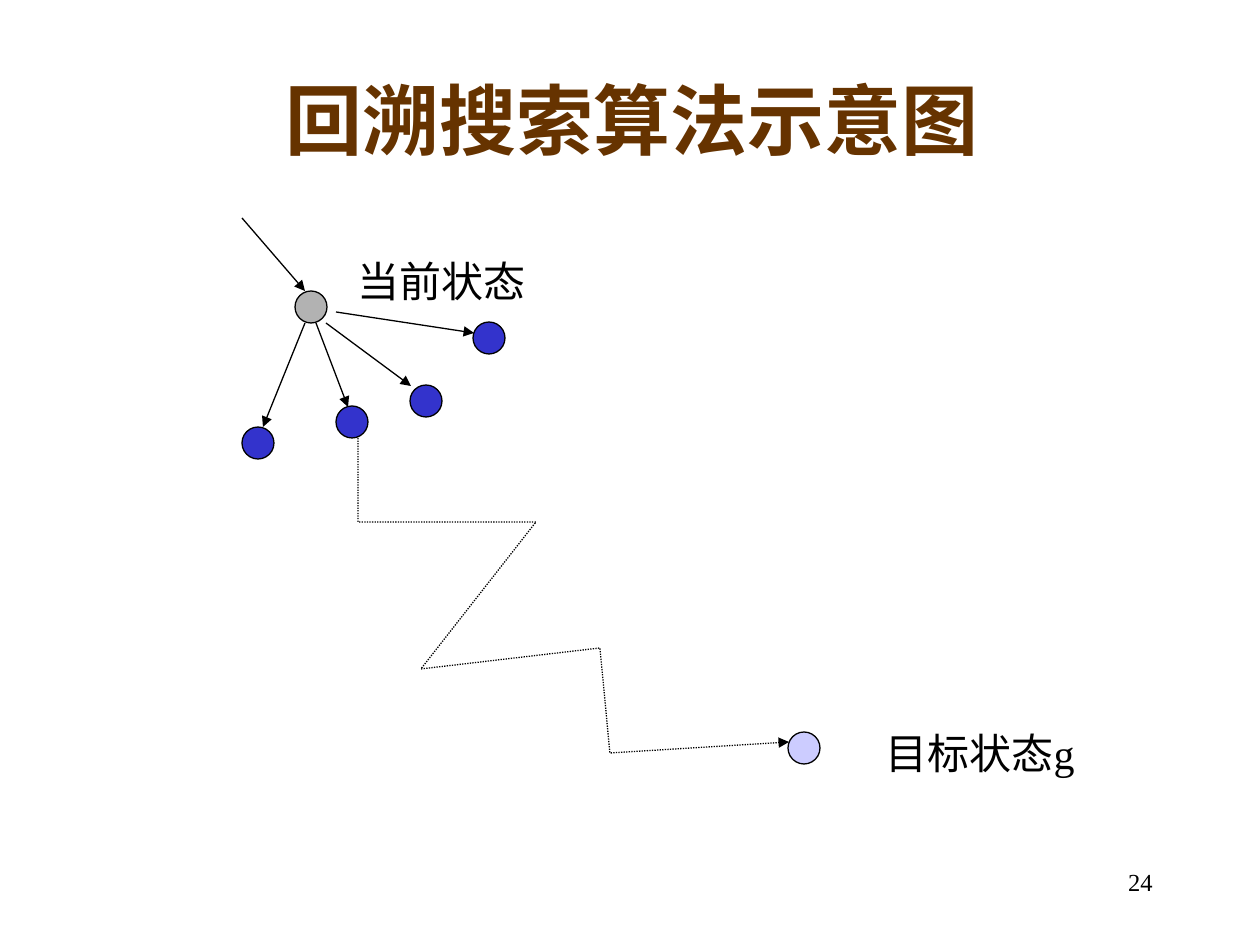
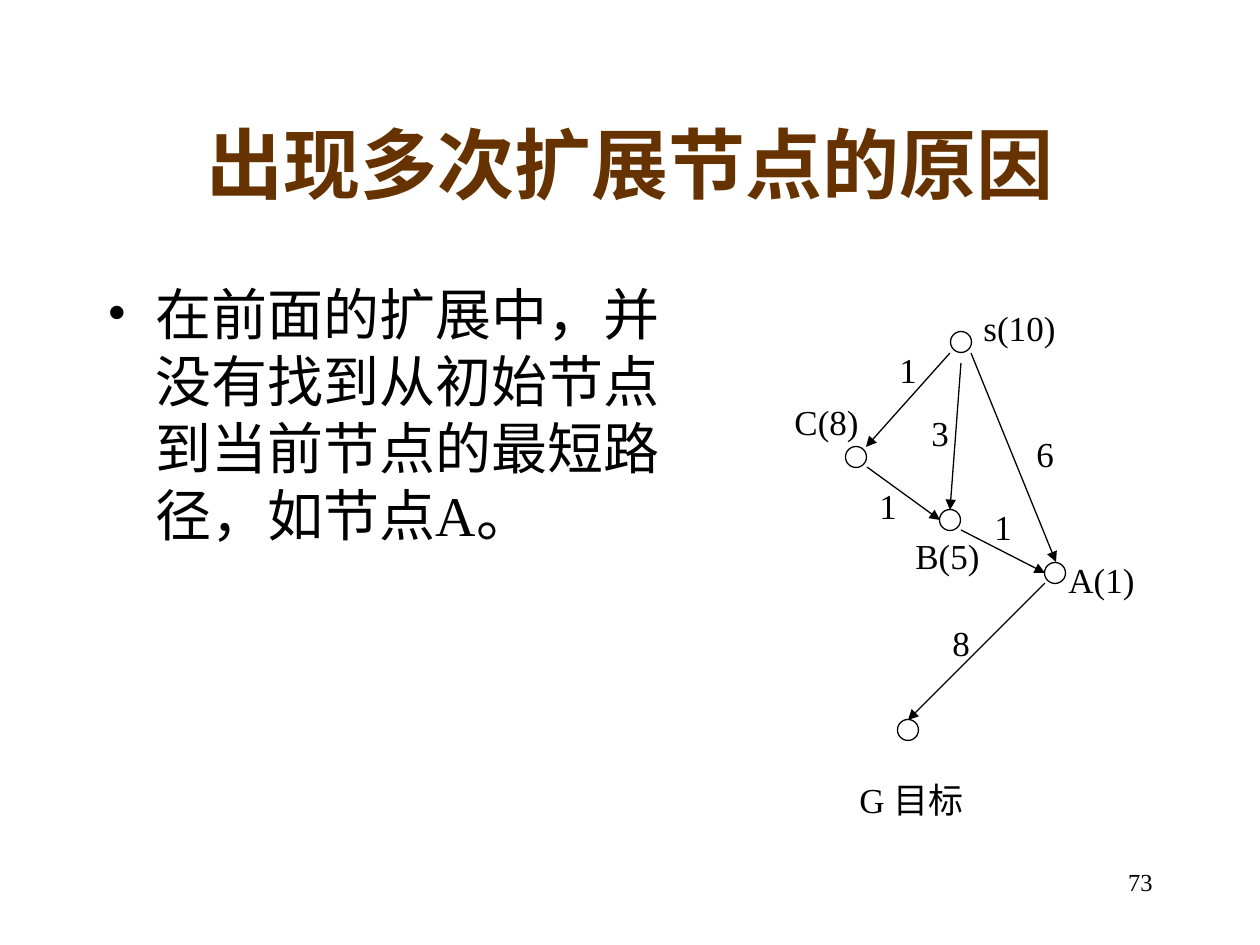
import pptx
import pptx.util
import pptx.dml.color
import pptx.enum.dml
import pptx.enum.shapes
import pptx.enum.text
import pptx.oxml.ns
import lxml.etree

COLORS = {
    "text": "000000",
    "title": "663300",
    "line": "000000",
    "current": "B2B2B2",
    "successor": "3333CC",
    "goal": "CCCCFF",
    "plain": "FFFFFF",
}
FONT_NAME = "Times New Roman"
EMU_PER_PX = 914400 / 126
LINE_WIDTH = pptx.util.Pt(0.75)
ALIGN = pptx.enum.text.PP_ALIGN
ANCHOR = pptx.enum.text.MSO_ANCHOR
AUTO_SIZE = pptx.enum.text.MSO_AUTO_SIZE


def px(length):
    return pptx.util.Emu(round(length * EMU_PER_PX))


def color(name):
    return pptx.dml.color.RGBColor.from_string(COLORS[name])


def add_xml(parent, tag, **values):
    return lxml.etree.SubElement(parent, pptx.oxml.ns.qn(tag), values)


def set_values(target, values):
    for name, value in values.items():
        setattr(target, name, value)


def write_text(box, text, size, align, font_color="text", bold=False, **frame_values):
    """Fill a box with one formatted paragraph."""
    set_values(box.text_frame, frame_values)
    para = box.text_frame.paragraphs[0]
    para.alignment = align
    span = para.add_run()
    span.text = text
    set_values(span.font, {"name": FONT_NAME, "size": pptx.util.Pt(size), "bold": bold})
    span.font.color.rgb = color(font_color)
    return para


def add_box(page, left, top, width, height):
    return page.shapes.add_textbox(px(left), px(top), px(width), px(height))


def add_page(deck, title, title_place, number):
    """Start a slide with its title and page number."""
    page = deck.slides.add_slide(deck.slide_layouts[5])
    heading = page.shapes.title
    places = zip(("left", "top", "width", "height"), map(px, title_place))
    set_values(heading, dict(places))
    write_text(heading, title, 44, ALIGN.CENTER, "title", True,
               vertical_anchor=ANCHOR.MIDDLE, word_wrap=True, auto_size=AUTO_SIZE.NONE)
    write_text(add_box(page, 903, 861, 262, 63), str(number), 14, ALIGN.RIGHT,
               word_wrap=True)
    return page


def add_bullet_text(page, text, left, top, width, height, indent):
    para = write_text(add_box(page, left, top, width, height), text, 32, ALIGN.LEFT,
                      word_wrap=True)
    properties = para._p.get_or_add_pPr()
    margins = {"marL": px(indent), "indent": px(-indent)}
    for name, value in margins.items():
        properties.set(name, str(value))
    add_xml(properties, "a:buFont", typeface=FONT_NAME)
    add_xml(properties, "a:buChar", char="•")


def add_label(page, text, left, top, width, height, size, align=ALIGN.CENTER):
    write_text(add_box(page, left, top, width, height), text, size, align,
               vertical_anchor=ANCHOR.MIDDLE, word_wrap=False,
               auto_size=AUTO_SIZE.SHAPE_TO_FIT_TEXT)


def style_line(shape):
    shape.line.color.rgb = color("line")
    shape.line.width = LINE_WIDTH


def add_arrowhead(shape):
    add_xml(shape.line._get_or_add_ln(), "a:tailEnd", type="triangle")


def add_node(page, center_x, center_y, diameter, fill):
    radius = diameter / 2
    node = page.shapes.add_shape(
        pptx.enum.shapes.MSO_SHAPE.OVAL,
        px(center_x - radius), px(center_y - radius), px(diameter), px(diameter))
    node.shadow.inherit = False
    node.fill.solid()
    node.fill.fore_color.rgb = color(fill)
    style_line(node)


def add_arrow(page, start, end):
    arrow = page.shapes.add_connector(
        pptx.enum.shapes.MSO_CONNECTOR.STRAIGHT, *map(px, start + end))
    style_line(arrow)
    add_arrowhead(arrow)
    add_xml(arrow._element.spPr, "a:effectLst")


def add_dotted_route(page, points):
    builder = page.shapes.build_freeform(*points[0], scale=EMU_PER_PX)
    builder.add_line_segments(points[1:], close=False)
    route = builder.convert_to_shape()
    route.shadow.inherit = False
    route.fill.background()
    style_line(route)
    route.line.dash_style = pptx.enum.dml.MSO_LINE.ROUND_DOT
    add_arrowhead(route)


def build_backtracking(deck):
    page = add_page(deck, "回溯搜索算法示意图", (97, 66, 1071, 105), 24)

    # States
    states = [
        (311, 307, "current"),
        (352, 422, "successor"),
        (426, 401, "successor"),
        (258, 443, "successor"),
        (489, 338, "successor"),
        (804, 748, "goal"),
    ]
    for center_x, center_y, fill in states:
        add_node(page, center_x, center_y, 32, fill)
    add_label(page, "当前状态", 340, 249, 203, 63, 24)
    add_label(page, "目标状态g", 863, 721, 234, 63, 24)

    # Moves into and out of the current state
    moves = [
        ((242, 218), (305, 291)),
        ((305, 323), (263, 427)),
        ((316, 323), (348, 407)),
        ((326, 323), (411, 386)),
        ((336, 312), (474, 333)),
    ]
    for start, end in moves:
        add_arrow(page, start, end)

    # Remaining search towards the goal
    add_dotted_route(page, [(358, 438), (358, 522), (536, 522), (421, 669),
                            (600, 648), (610, 753), (789, 742)])


def build_repeated_expansion(deck):
    page = add_page(deck, "出现多次扩展节点的原因", (95, 84, 1071, 158), 73)
    add_bullet_text(
        page, "在前面的扩展中，并没有找到从初始节点到当前节点的最短路径，如节点A。",
        95, 273, 617, 567, 48)

    # Graph nodes: centre, then label text, left, top and width
    nodes = [
        (961, 342, "s(10)", 964, 300, 111),
        (856, 457, "C(8)", 774, 394, 105),
        (950, 520, "B(5)", 895, 528, 105),
        (1055, 573, "A(1)", 1049, 552, 105),
        (908, 730, "G 目标", 831, 772, 161),
    ]
    for center_x, center_y, name, left, top, width in nodes:
        add_node(page, center_x, center_y, 21, "plain")
        add_label(page, name, left, top, width, 55, 20)

    # Graph edges: ends, then cost with its left and top
    edges = [
        ((950, 353), (866, 447), "1", 887, 342),
        ((961, 363), (950, 510), "3", 919, 405),
        ((971, 353), (1056, 562), "6", 1024, 426),
        ((867, 467), (940, 520), "1", 867, 478),
        ((961, 530), (1045, 573), "1", 982, 499),
        ((1045, 583), (908, 720), "8", 940, 615),
    ]
    for start, end, cost, left, top in edges:
        add_arrow(page, start, end)
        add_label(page, cost, left, top, 43, 55, 20, ALIGN.LEFT)


def main():
    deck = pptx.Presentation()
    set_values(deck, {"slide_width": px(1260), "slide_height": px(945)})
    build_backtracking(deck)
    build_repeated_expansion(deck)
    deck.save("out.pptx")


if __name__ == "__main__":
    main()
